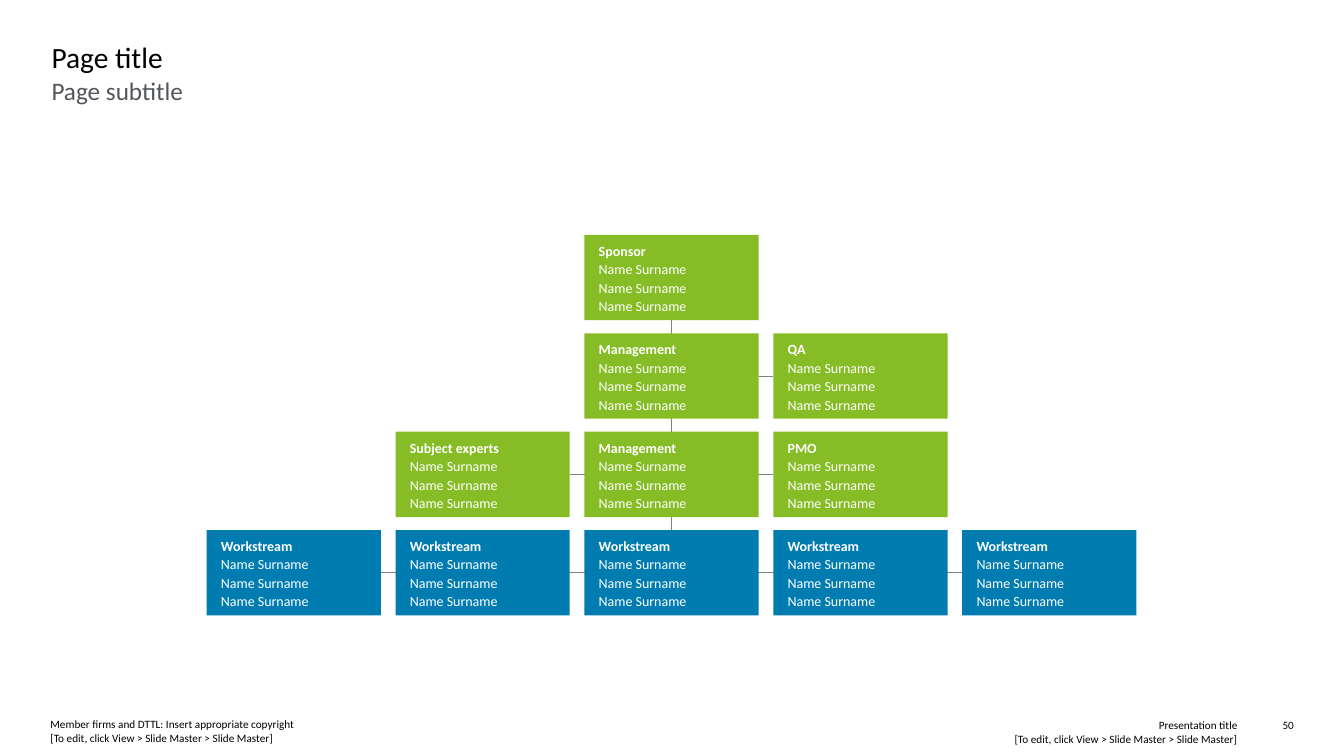
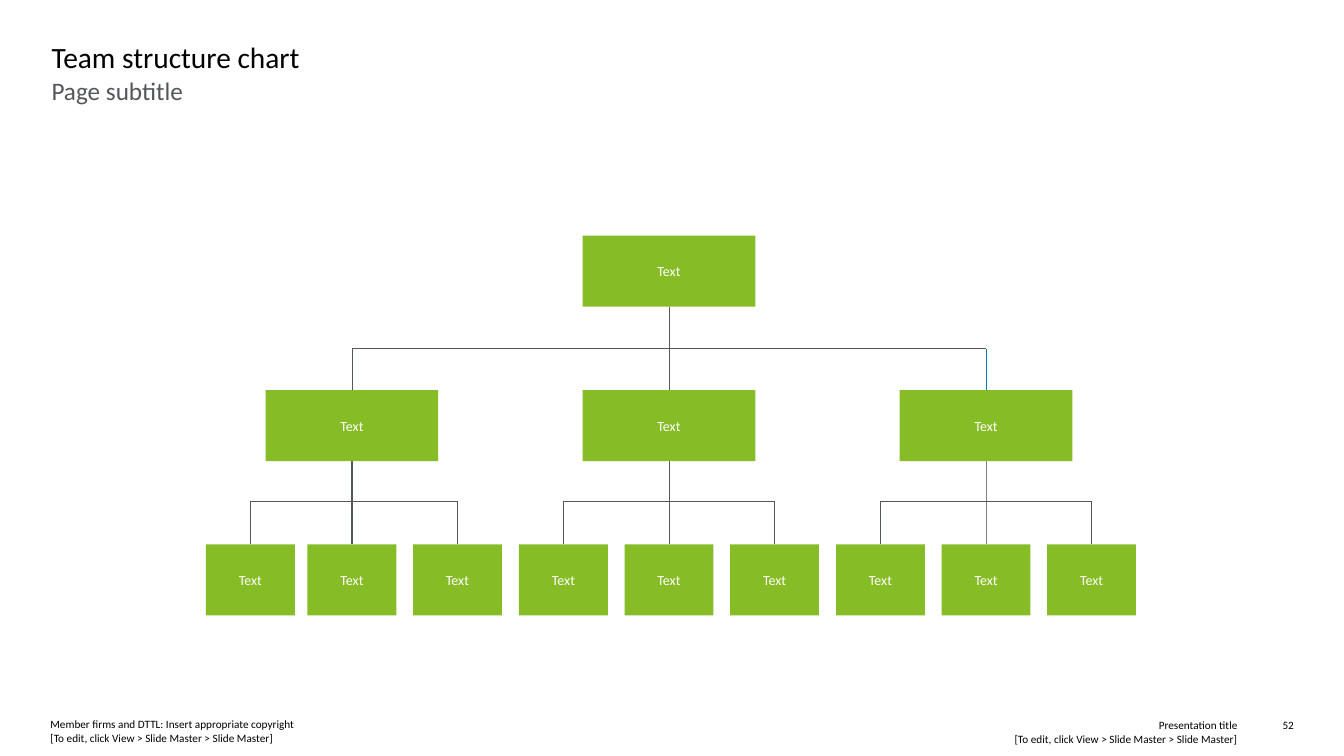
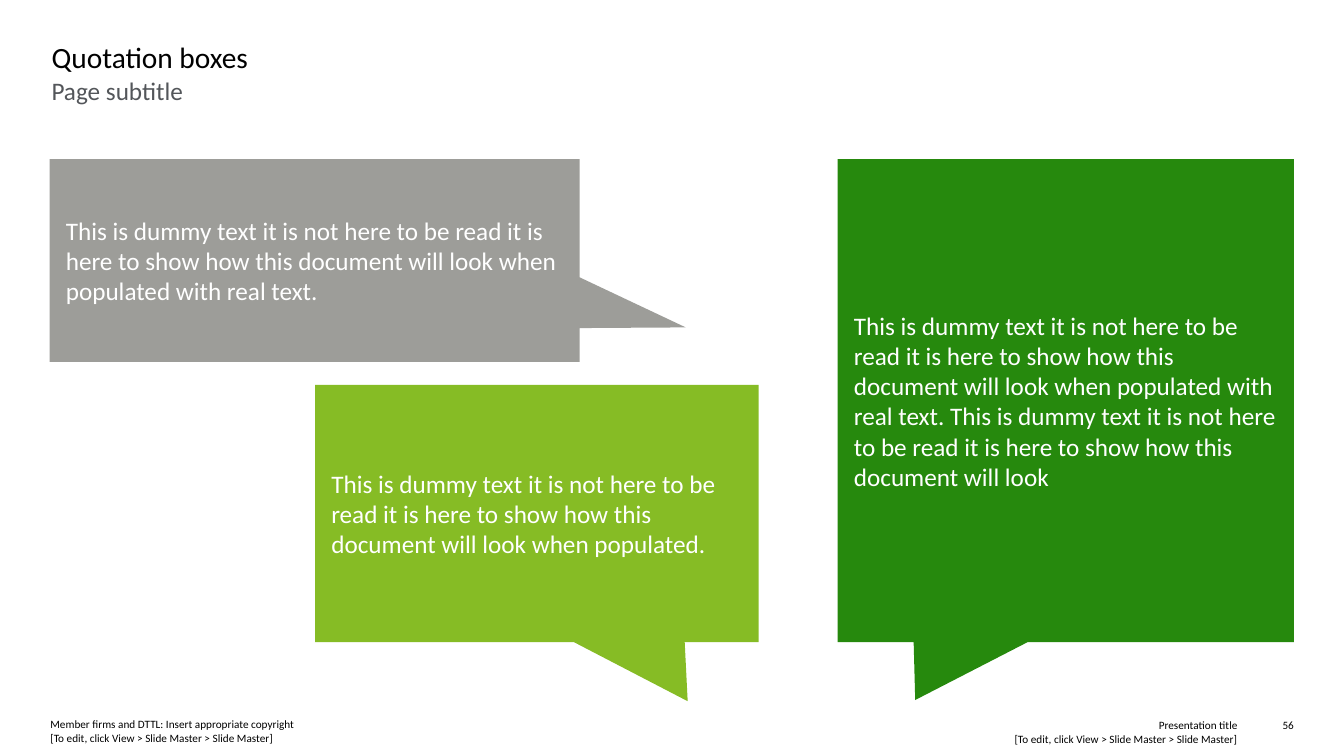
from dataclasses import dataclass

from lxml.etree import SubElement
from pptx import Presentation
from pptx.dml.color import RGBColor
from pptx.enum.shapes import MSO_CONNECTOR, MSO_SHAPE
from pptx.enum.text import MSO_ANCHOR, MSO_AUTO_SIZE, PP_ALIGN
from pptx.oxml.ns import qn
from pptx.util import Cm, Pt


@dataclass(frozen=True)
class Theme:
    font: str = "Calibri"
    black: str = "000000"
    white: str = "FFFFFF"
    dark_grey: str = "53565A"
    mid_grey: str = "808080"
    light_grey: str = "9D9D99"
    lime: str = "86BC25"
    green: str = "26890D"
    blue: str = "007CB0"
    title_size: float = 21
    body_size: float = 18
    box_size: float = 10
    footer_size: float = 8


THEME = Theme()
EDIT_HINT = "[To edit, click View > Slide Master > Slide Master]"


class Deck:
    """Holds the theme, the presentation and the current slide."""

    def __init__(self, theme):
        self.theme = theme
        self.prs = Presentation()
        self.prs.slide_width, self.prs.slide_height = Cm(33.87), Cm(19.05)
        self.slide = None

    def new_slide(self, title, subtitle, number):
        t = self.theme
        self.slide = self.prs.slides.add_slide(self.prs.slide_layouts[5])
        # Title and subtitle
        sp = self.slide.shapes.title
        sp.left, sp.top, sp.width, sp.height = Cm(1.3), Cm(0.97), Cm(31.32), Cm(0.94)
        self.set_text(sp, [title], t.title_size, t.black, anchor=MSO_ANCHOR.MIDDLE)
        self.text(1.3, 1.91, 31.32, 2.1, subtitle, t.body_size, t.dark_grey)
        # Footer: a vertical tab is a line break
        small = (t.footer_size, t.black)
        self.text(17.6, 18.11, 13.59, 0.69, f"Presentation title\v{EDIT_HINT}",
                  *small, align=PP_ALIGN.RIGHT)
        self.text(1.27, 18.08, 14.88, 0.69,
                  f"Member firms and DTTL: Insert appropriate copyright\v{EDIT_HINT}", *small)
        self.text(31.75, 18.11, 0.86, 0.33, str(number), *small, align=PP_ALIGN.RIGHT)

    def set_text(self, sp, lines, size, color, align=PP_ALIGN.LEFT,
                 anchor=MSO_ANCHOR.TOP, inset=(0, 0), spacing=None, heading=False):
        tf = sp.text_frame
        tf.word_wrap = True
        tf.auto_size = MSO_AUTO_SIZE.NONE
        tf.vertical_anchor = anchor
        tf.margin_left = tf.margin_right = Cm(inset[0])
        tf.margin_top = tf.margin_bottom = Cm(inset[1])
        for i, line in enumerate(lines):
            p = tf.add_paragraph() if i else tf.paragraphs[0]
            p.text = line
            p.alignment = align
            if spacing:
                p.line_spacing = spacing
            p.font.name = self.theme.font
            p.font.size = Pt(size)
            p.font.bold = heading and i == 0
            p.font.color.rgb = RGBColor.from_string(color)

    def text(self, x, y, w, h, line, size, color, align=PP_ALIGN.LEFT):
        sp = self.slide.shapes.add_textbox(Cm(x), Cm(y), Cm(w), Cm(h))
        self.set_text(sp, [line], size, color, align)

    def box(self, x, y, w, h, lines, fill, size, kind=MSO_SHAPE.RECTANGLE, **style):
        sp = self.slide.shapes.add_shape(kind, Cm(x), Cm(y), Cm(w), Cm(h))
        sp.shadow.inherit = False
        sp.fill.solid()
        sp.fill.fore_color.rgb = RGBColor.from_string(fill)
        sp.line.fill.background()
        self.set_text(sp, lines, size, self.theme.white, anchor=MSO_ANCHOR.MIDDLE, **style)
        return sp

    def line(self, x1, y1, x2, y2, color, width=0.5):
        c = self.slide.shapes.add_connector(
            MSO_CONNECTOR.STRAIGHT, Cm(x1), Cm(y1), Cm(x2), Cm(y2))
        c.line.color.rgb = RGBColor.from_string(color)
        c.line.width = Pt(width)
        SubElement(c._element.spPr, qn("a:effectLst"))

    def callout(self, x, y, w, h, line, fill, tip):
        sp = self.box(x, y, w, h, [line], fill, self.theme.body_size,
                      MSO_SHAPE.RECTANGULAR_CALLOUT, inset=(0.41, 0.41))
        sp.adjustments[0], sp.adjustments[1] = tip


def project_team(deck):
    t = deck.theme
    deck.new_slide("Page title", "Page subtitle", 50)
    left, top, w, h = 5.21, 5.92, 4.39, 2.15
    col_step, row_step = 4.76, 2.48
    # Each row: first column, roles, fill
    rows = [
        (2, ["Sponsor"], t.lime),
        (2, ["Management", "QA"], t.lime),
        (1, ["Subject experts", "Management", "PMO"], t.lime),
        (0, ["Workstream"] * 5, t.blue),
    ]
    # Spine through the middle column
    spine = left + 2 * col_step + w / 2
    deck.line(spine, top + h, spine, top + 3 * row_step, t.mid_grey)
    for i, (first, roles, fill) in enumerate(rows):
        x, y = left + first * col_step, top + i * row_step
        if len(roles) > 1:
            last_x = x + (len(roles) - 1) * col_step
            deck.line(x + w, y + h / 2, last_x, y + h / 2, t.mid_grey)
        for j, role in enumerate(roles):
            deck.box(x + j * col_step, y, w, h, [role] + ["Name Surname"] * 3, fill,
                     t.box_size, inset=(0.36, 0.2), spacing=1.1, heading=True)


def team_structure(deck):
    t = deck.theme
    deck.new_slide("Team structure chart", "Page subtitle", 52)
    w, leaf_w, h = 4.35, 2.24, 1.79
    root_y, branch_y, leaf_y = 5.94, 9.83, 13.72
    branch_bus, leaf_bus = 8.79, 12.63
    middle, step, leaf_step = 16.86, 7.99, 2.66

    def node(center, y, width):
        deck.box(center - width / 2, y, width, h, ["Text"], t.lime, t.box_size,
                 align=PP_ALIGN.CENTER, inset=(0.25, 0.25))

    # Each branch: centre, top of stem, stem colour, lower stem colour, first leaf offset
    branches = [
        (middle - step, branch_bus, t.dark_grey, t.dark_grey, -2.56),
        (middle, root_y + h, t.dark_grey, None, -leaf_step),
        (middle + step, branch_bus, t.blue, t.mid_grey, -leaf_step),
    ]
    deck.line(middle - step, branch_bus, middle + step, branch_bus, t.dark_grey)
    node(middle, root_y, w)
    for center, stem_top, color, lower_color, first in branches:
        # Connecting lines
        deck.line(center, stem_top, center, leaf_y, color)
        if lower_color:
            deck.line(center, branch_y + h, center, leaf_y, lower_color, 0.75)
        ends = (center + first, center + leaf_step)
        deck.line(ends[0], leaf_bus, ends[1], leaf_bus, t.dark_grey)
        for x in ends:
            deck.line(x, leaf_bus, x, leaf_y, t.dark_grey)
        # Boxes
        node(center, branch_y, w)
        for x in (ends[0], center, ends[1]):
            node(x, leaf_y, leaf_w)


def quotations(deck):
    t = deck.theme
    deck.new_slide("Quotation boxes", "Page subtitle", 56)
    dummy = ("This is dummy text it is not here to be read it is here to show "
             "how this document will look")
    deck.callout(1.25, 4.01, 13.36, 5.11, f"{dummy} when populated with real text.",
                 t.light_grey, (0.7, 0.33))
    deck.callout(7.94, 9.7, 11.18, 6.48, f"{dummy} when populated.", t.lime, (0.34, 0.73))
    deck.callout(21.11, 4.01, 11.5, 12.17,
                 f"{dummy} when populated with real text. {dummy}", t.green, (-0.33, 0.62))


def main():
    deck = Deck(THEME)
    project_team(deck)
    team_structure(deck)
    quotations(deck)
    deck.prs.save("out.pptx")


if __name__ == "__main__":
    main()
